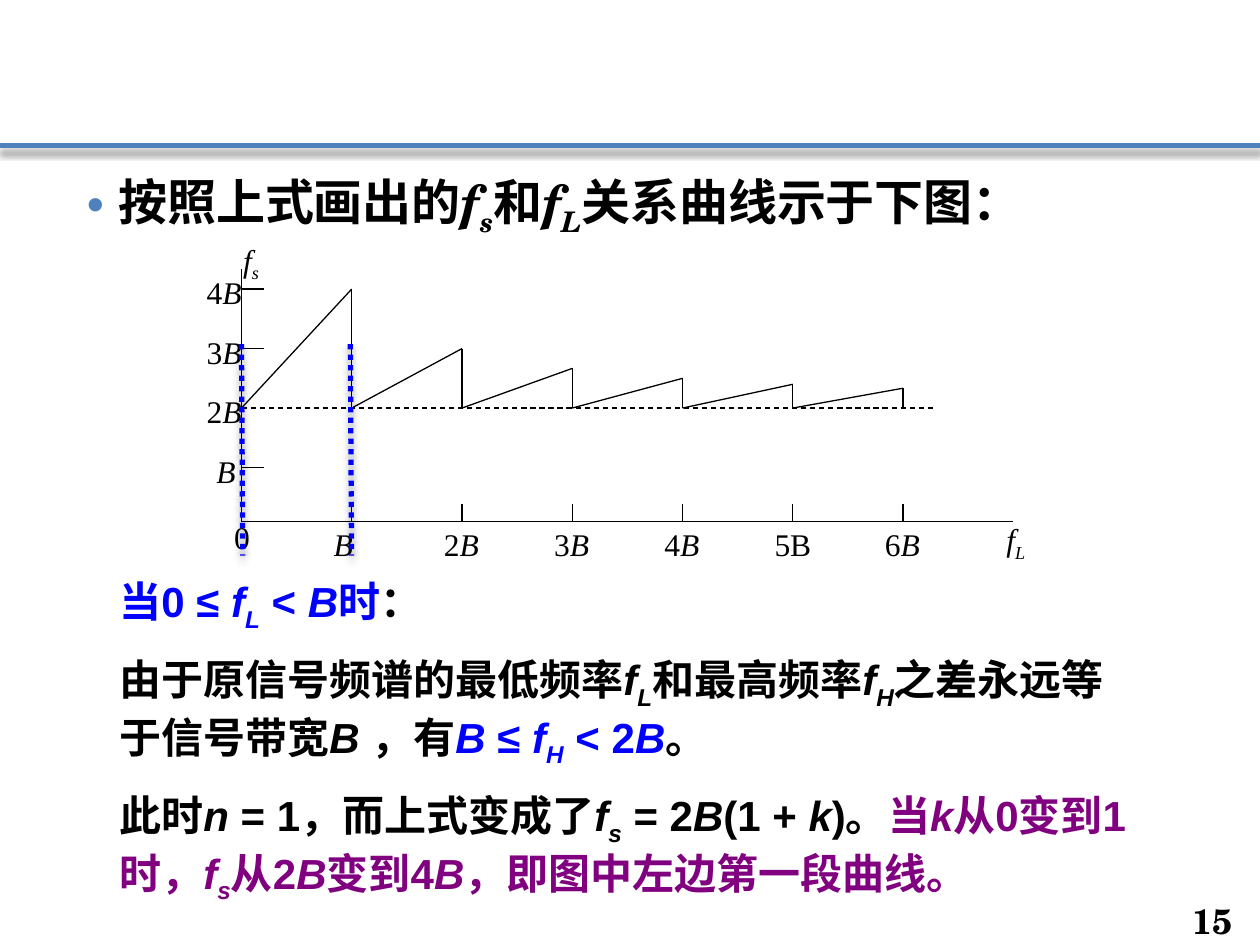
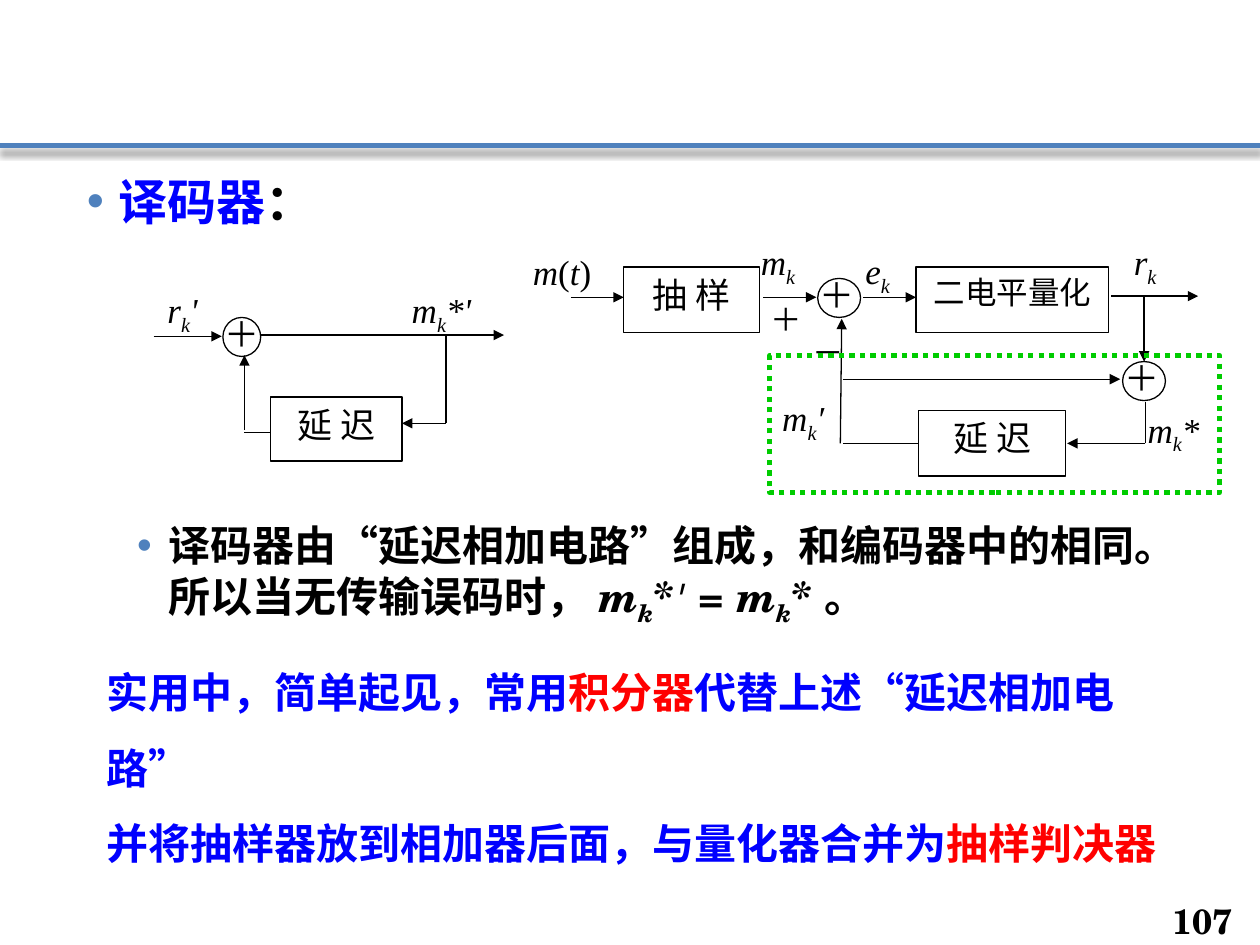
"""Build two lecture slides on band-pass sampling and the delta-modulation decoder."""
from dataclasses import dataclass
from typing import Optional

from lxml.etree import SubElement
from pptx import Presentation
from pptx.dml.color import RGBColor
from pptx.enum.dml import MSO_LINE
from pptx.enum.shapes import MSO_CONNECTOR, MSO_SHAPE
from pptx.enum.text import MSO_ANCHOR, PP_ALIGN
from pptx.oxml.ns import qn
from pptx.util import Pt

COLORS = {
    "black": "000000", "white": "FFFFFF", "band": "4F81BD", "blue": "0000FF",
    "purple": "800080", "red": "FF0000", "green": "00CC00",
}
SERIF, SANS, ROMAN = "TeX Gyre Schola", "Arial", "Times New Roman"


@dataclass
class Label:
    """Text whose marks are |colour|, /italic/ and _subscript_."""
    x: float
    y: float
    w: float
    h: float
    paras: tuple[str, ...]
    size: float = 20
    font: str = ROMAN
    bold: bool = False
    align: PP_ALIGN = PP_ALIGN.LEFT
    anchor: MSO_ANCHOR = MSO_ANCHOR.TOP
    before: float = 0
    after: float = 0
    spacing: Optional[float] = None
    indent: float = 0


@dataclass
class Wire:
    """Straight line between two points."""
    x1: float
    y1: float
    x2: float
    y2: float
    arrow: bool = False
    color: str = "black"
    width: float = 0.75
    dash: Optional[MSO_LINE] = None
    shadow: bool = False


@dataclass
class Block:
    """Rectangle with a centred caption."""
    x: float
    y: float
    w: float
    h: float
    caption: str
    size: float = 20


@dataclass
class Adder:
    """Summing circle with a plus sign."""
    x: float
    y: float
    w: float


def rgb(name: str) -> RGBColor:
    """Look up a named colour."""
    return RGBColor.from_string(COLORS[name])


def add_runs(p, text: str, label: Label, color: str) -> str:
    """Turn marked text into formatted runs and return the last colour."""
    italic = False
    for i, piece in enumerate(text.split("|")):
        if i % 2:
            color = piece
            continue
        for j, part in enumerate(piece.split("/")):
            italic = italic if j == 0 else not italic
            for k, words in enumerate(part.split("_")):
                if not words:
                    continue
                r = p.add_run()
                r.text = words
                r.font.size, r.font.name = Pt(label.size), label.font
                r.font.bold, r.font.italic = label.bold, italic
                r.font.color.rgb = rgb(color)
                if k % 2:
                    r._r.get_or_add_rPr().set("baseline", "-25000")
    return color


def add_bullet(p, indent: float) -> None:
    """Give a paragraph a hanging round bullet."""
    pPr = p._p.get_or_add_pPr()
    pPr.set("marL", str(Pt(indent)))
    pPr.set("indent", str(Pt(-18)))
    clr = SubElement(pPr, qn("a:buClr"))
    SubElement(clr, qn("a:srgbClr"), val=COLORS["band"])
    SubElement(pPr, qn("a:buFont"), typeface=SANS)
    SubElement(pPr, qn("a:buChar"), char="•")


def fill_text(tf, label: Label) -> None:
    """Write the paragraphs of a label into a text frame."""
    tf.word_wrap = True
    tf.vertical_anchor = label.anchor
    color = "black"
    for i, text in enumerate(label.paras):
        p = tf.add_paragraph() if i else tf.paragraphs[0]
        p.alignment = label.align
        p.space_before, p.space_after = Pt(label.before), Pt(label.after)
        if label.spacing:
            p.line_spacing = label.spacing
        if label.indent:
            add_bullet(p, label.indent)
        color = add_runs(p, text, label, color)


def add_label(s, label: Label) -> None:
    """Draw a text box."""
    sp = s.shapes.add_textbox(Pt(label.x), Pt(label.y), Pt(label.w), Pt(label.h))
    fill_text(sp.text_frame, label)


def add_wire(s, wire: Wire) -> None:
    """Draw a connector with optional dash, arrowhead and shadow."""
    sp = s.shapes.add_connector(MSO_CONNECTOR.STRAIGHT, Pt(wire.x1), Pt(wire.y1),
                                Pt(wire.x2), Pt(wire.y2))
    sp.line.color.rgb, sp.line.width = rgb(wire.color), Pt(wire.width)
    if wire.dash:
        sp.line.dash_style = wire.dash
    if wire.arrow:
        SubElement(sp.line._get_or_add_ln(), qn("a:tailEnd"), type="triangle")
    effects = SubElement(sp._element.spPr, qn("a:effectLst"))
    if wire.shadow:
        shadow = SubElement(effects, qn("a:outerShdw"), blurRad=str(Pt(4)),
                            dist=str(Pt(3)), dir="5400000", rotWithShape="0")
        clr = SubElement(shadow, qn("a:srgbClr"), val=COLORS["black"])
        SubElement(clr, qn("a:alpha"), val="43000")


def add_outline(s, kind: MSO_SHAPE, x: float, y: float, w: float, h: float,
                color: str = "black", width: float = 0.75, filled: bool = True):
    """Draw an outlined preset shape."""
    sp = s.shapes.add_shape(kind, Pt(x), Pt(y), Pt(w), Pt(h))
    sp.shadow.inherit = False
    sp.line.color.rgb, sp.line.width = rgb(color), Pt(width)
    if filled:
        sp.fill.solid()
        sp.fill.fore_color.rgb = rgb("white")
    else:
        sp.fill.background()
    return sp


def add_block(s, b: Block) -> None:
    """Draw a captioned block."""
    sp = add_outline(s, MSO_SHAPE.RECTANGLE, b.x, b.y, b.w, b.h)
    fill_text(sp.text_frame, Label(b.x, b.y, b.w, b.h, (b.caption,), b.size,
                                   align=PP_ALIGN.CENTER))


def add_adder(s, a: Adder) -> None:
    """Draw a summing circle."""
    add_outline(s, MSO_SHAPE.OVAL, a.x, a.y, a.w, 22.3)
    add_label(s, Label(a.x - 6, a.y - 6.5, 38, 29, ("＋",)))


def add_items(s, items: list) -> None:
    """Draw items from back to front."""
    draw = {Label: add_label, Wire: add_wire, Block: add_block, Adder: add_adder}
    for item in items:
        draw[type(item)](s, item)


def new_slide(prs, number: int, heading: str):
    """Add a blank slide with the band, heading and page number."""
    s = prs.slides.add_slide(prs.slide_layouts[6])
    add_items(s, [
        Wire(0, 83, 720, 83, color="band", width=3, shadow=True),
        Label(42.5, 94.3, 635, 45, (heading,), 28, SERIF, True, indent=18),
        Label(661.7, 516.2, 49.7, 20, (str(number),), 20, SERIF, True,
              PP_ALIGN.RIGHT, MSO_ANCHOR.MIDDLE),
    ])
    return s


def sampling_slide(prs) -> None:
    """Plot the sampling rate against the lowest frequency."""
    s = new_slide(prs, 15, "按照上式画出的/f_s_/和/f_L_/关系曲线示于下图：")
    left, axis, base = 138, 298, 233.2
    step, unit = 63, 34
    items = [
        Wire(left, 154, left, axis),
        Wire(left, axis, 579, axis),
        Wire(left, base, 535, base, dash=MSO_LINE.DASH),
        Label(126.7, 292.3, 28, 26, ("0",), 18),
        Label(568, 293.8, 38, 26, ("/f_L_/",), 18),
        Label(131.8, 133.9, 38, 26, ("/f_s_/",), 18),
    ]
    for n in range(1, 7):
        x, peak = left + n * step, base - 2 * unit / n
        name = {1: "/B/", 5: "5B"}.get(n, f"{n}/B/")
        items += [
            Wire(x, axis, x, axis - 10),
            Wire(x - step, base, x, peak),
            Wire(x, peak, x, base),
            Label(x - 17.5, 296.6, 40, 26, (name,), 18),
        ]
    for n, name in enumerate(("/B/", "2/B/", "3/B/", "4/B/"), 1):
        y = base + (2 - n) * unit
        if n != 2:
            items.append(Wire(left, y, left + 13, y))
        items.append(Label(116.6 if n == 1 else 111, y - 12.6, 40, 26, (name,), 18))
    items.append(Label(61.2, 325.4, 595.4, 177, (
        "|blue|当0 ≤ /f_L_/ < /B/时|black|：",
        "由于原信号频谱的最低频率/f_L_/和最高频率/f_H_/之差永远等于信号带宽/B /，有"
        "|blue|/B /≤ /f_H_/ < 2/B/|black|。",
        "此时/n /= 1，而上式变成了/f_s_/ = 2/B/(1 + /k/)。|purple|当/k/从0变到1时，"
        "/f_s_/从2/B/变到4/B/，即图中左边第一段曲线。",
    ), 24, SANS, True, before=6, after=6))
    items += [Wire(x, 196.6, x + 0.7, 317.5, color="blue", width=3,
                   dash=MSO_LINE.ROUND_DOT, shadow=True)
              for x in (left + step - 0.8, left)]
    add_items(s, items)


def decoder_slide(prs) -> None:
    """Draw the decoder beside the encoder."""
    s = new_slide(prs, 107, "|blue|译码器|black|：")
    decoder = [
        Wire(139.7, 247, 154.8, 247),
        Block(154.8, 226.8, 74.9, 36.7, "延 迟"),
        Adder(127.4, 181.4, 21.6),
        Wire(87.8, 192.2, 126.7, 192.2, True),
        Wire(149, 191.5, 288, 191.5, True),
        Wire(139.7, 245.5, 139.7, 203, True),
        Wire(254.9, 191.5, 254.9, 241.9),
        Wire(254.9, 241.9, 229.7, 241.9, True),
        Label(88.6, 161.3, 40, 32, ("/r_k_'/",)),
        Label(228.2, 161.3, 54, 32, ("/m_k_*'/",)),
    ]
    encoder = [
        Label(648.7, 229.7, 50, 35, ("/m_k_*/",)),
        Block(524.9, 234.7, 84.2, 37.4, "延 迟"),
        Adder(641.5, 206.6, 24.5),
        Wire(480.2, 253.4, 481, 182.2, True),
        Adder(467.3, 159.1, 24.5),
        Block(356.4, 152.6, 77.8, 37.4, "抽 样"),
        Block(523.4, 152.6, 110.2, 37.4, "二电平量化", 18),
        *[Wire(x, 169.9, x + 30.2, 169.9, True) for x in (326.2, 436.3, 493.2)],
        Wire(635, 169.2, 684.7, 169.2, True),
        Wire(481.7, 216.7, 640.1, 216.7, True),
        Wire(653.8, 169.2, 653.8, 206.6, True),
        Wire(524.9, 253.4, 481.7, 253.4),
        Wire(654.5, 229.7, 654.5, 253.4),
        Wire(654.5, 253.4, 609.8, 253.4, True),
        Label(433.4, 167.8, 34, 29.5, ("＋",), 18),
        Label(457.2, 186.5, 34, 29.5, ("－",), 18),
        Label(297.4, 139.7, 55.4, 35, ("/m/(/t/)",)),
        Label(427.7, 133.9, 55.4, 35, ("/m_k_/",)),
        Label(487.4, 139, 40, 35, ("/e_k_/",)),
        Label(640.8, 133.9, 40, 35, ("/r_k_/",)),
        Label(439.9, 223.2, 50, 35, ("/m_k_′/",)),
    ]
    notes = [
        Label(42.5, 293.5, 635, 66, (
            "译码器由“延迟相加电路”组成，和编码器中的相同。所以当无传输误码时， "
            "/m_k_*′/ = /m_k_* /。",), 24, SERIF, True, indent=46.8),
        Label(54, 362.9, 629.3, 94.3, (
            "|blue|实用中，简单起见，常用|red|积分器|blue|代替上述“延迟相加电路”",
            "并将抽样器放到相加器后面，与量化器合并为|red|抽样判决器",
        ), 24, SANS, True, spacing=1.5),
    ]
    add_items(s, decoder + notes + encoder)
    frame = add_outline(s, MSO_SHAPE.RECTANGLE, 439.9, 203, 257, 78.5,
                        "green", 3, False)
    frame.line.dash_style = MSO_LINE.ROUND_DOT


def main() -> None:
    """Build and save the deck."""
    prs = Presentation()
    prs.slide_width, prs.slide_height = Pt(720), Pt(540)
    sampling_slide(prs)
    decoder_slide(prs)
    prs.save("out.pptx")


if __name__ == "__main__":
    main()
